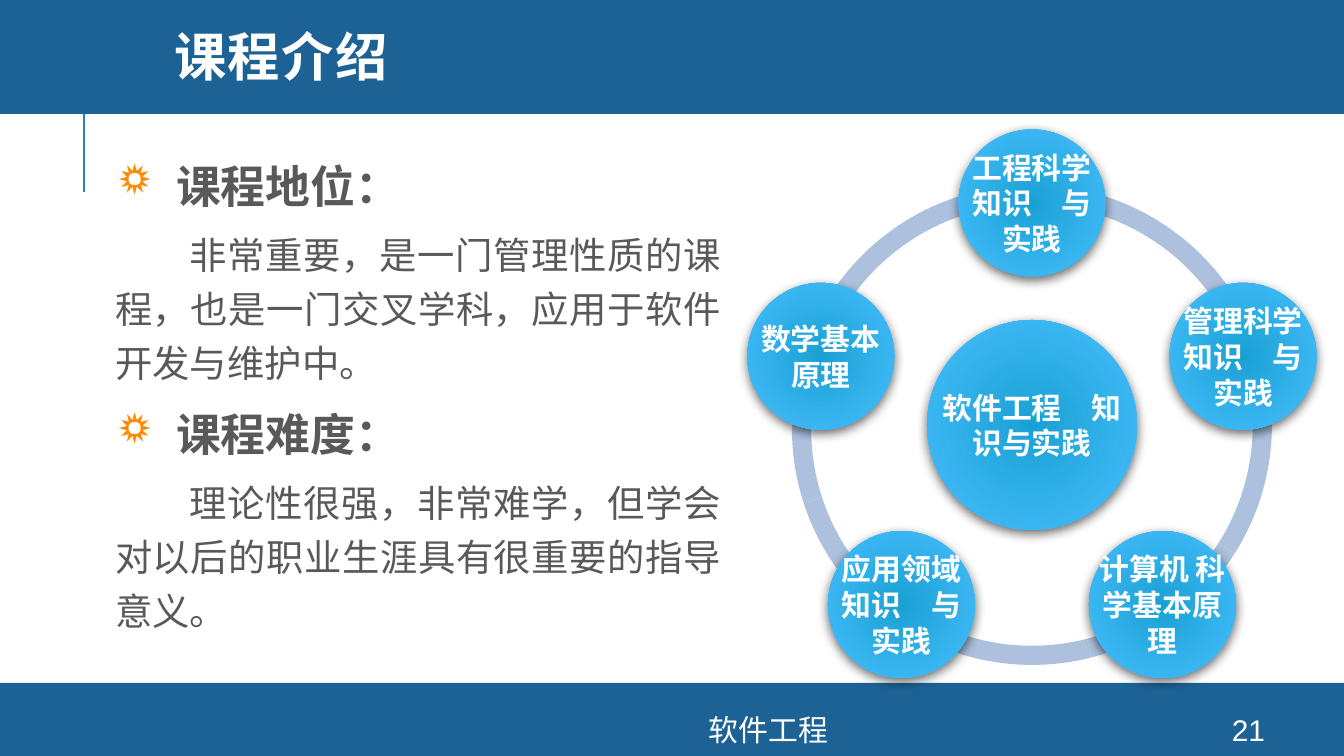
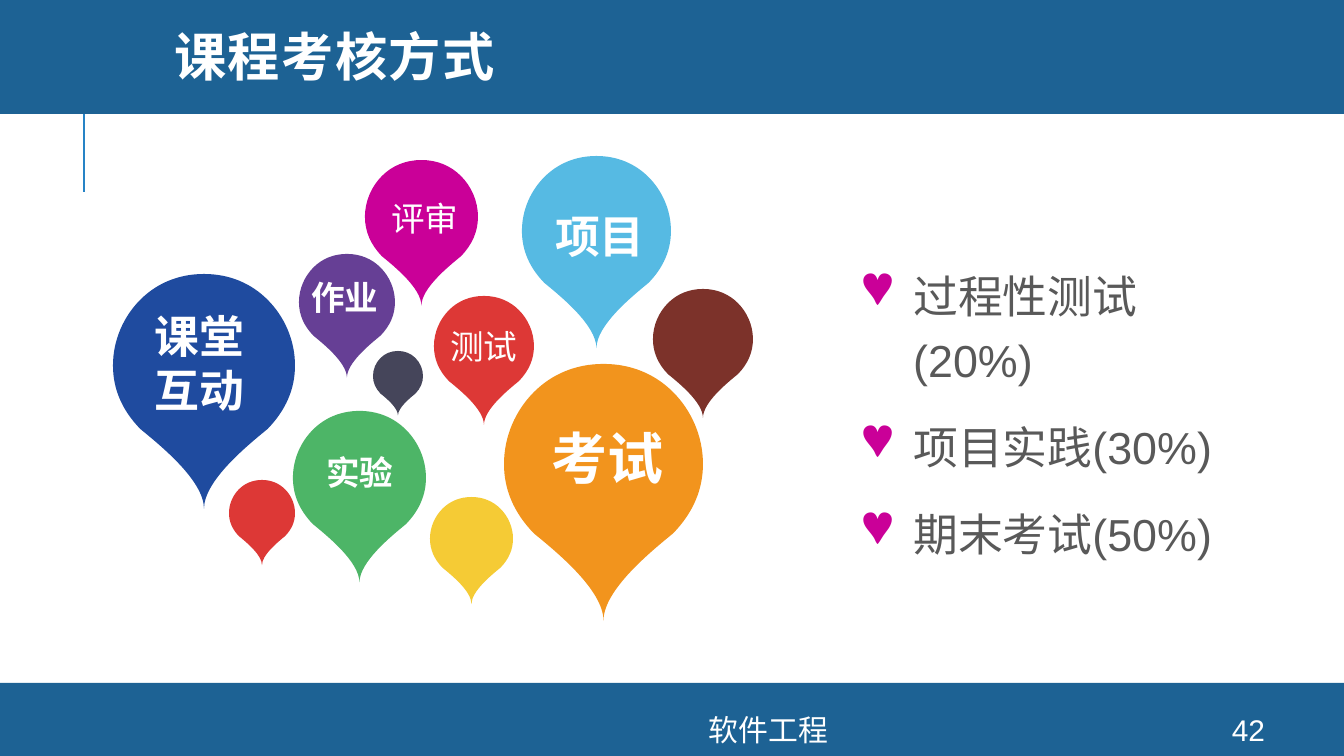
from dataclasses import dataclass
from math import cos, radians, sin

from lxml.etree import SubElement
from pptx import Presentation
from pptx.dml.color import RGBColor
from pptx.enum.shapes import MSO_CONNECTOR as Connector, MSO_SHAPE as Shape
from pptx.enum.text import MSO_ANCHOR as Anchor, MSO_AUTO_SIZE as AutoSize, PP_ALIGN as Align
from pptx.oxml.ns import qn
from pptx.util import Pt

PX = 914400 / 134.4
WIDTH, HEIGHT = 1344, 756


@dataclass(frozen=True)
class Theme:
    band: str = "1D6294"
    rule: str = "2683C6"
    white: str = "FFFFFF"
    text: str = "595959"
    sun: str = "FF8900"
    heart: str = "CA0098"
    ring: str = "ADC1DF"
    node_inner: str = "1AA1D4"
    node_outer: str = "48BFFF"
    red: str = "DD3836"
    font: str = "Arial"
    title_font: str = "Montserrat"
    title: int = 28
    heading: int = 24
    body: int = 20
    small: int = 16


THEME = Theme()

DROP_SIDE = [
    (0, 0),
    (0.14, 0), (0.26, 0.04), (0.35, 0.11),
    (0.44, 0.18), (0.5, 0.28), (0.5, 0.39),
    (0.5, 0.49), (0.45, 0.58), (0.35, 0.66),
    (0.24, 0.73), (0, 0.88), (0, 1),
]
DROP_OUTLINE = [(-x, y) for x, y in DROP_SIDE] + DROP_SIDE[-2::-1]
DROP_RATIO = 1.29

DROPS = [
    (299, 254, 96, "663F95"),
    (113, 274, 182, "1F4B9F"),
    (504, 364, 199, "F2941D"),
    (653, 289, 100, "7C322A"),
    (434, 296, 100, THEME.red),
    (430, 497, 83, "F5CB35"),
    (365, 160, 113, THEME.heart),
    (373, 351, 50, "45455A"),
    (229, 480, 66, THEME.red),
    (293, 411, 133, "4DB567"),
    (522, 156, 149, "56BAE3"),
]
DROP_LABELS = [
    (538, 417, 141, 82, ["考试"], 30, True),
    (298, 270, 95, 54, ["作业"], 18, True),
    (141, 302, 117, 122, ["课堂", "互动"], 24, True),
    (542, 202, 118, 67, ["项目"], 24, True),
    (437, 319, 95, 54, ["测试"], 18, False),
    (378, 191, 95, 54, ["评审"], 18, False),
    (313, 445, 94, 54, ["实验"], 18, True),
]
GRADING = ["过程性测试(20%)", "项目实践(30%)", "期末考试(50%)"]
TOPICS = [
    ("课程地位：", "非常重要，是一门管理性质的课程，也是一门交叉学科，应用于软件开发与维护中。"),
    ("课程难度：", "理论性很强，非常难学，但学会对以后的职业生涯具有很重要的指导意义。"),
]
FIELDS = [
    "工程科学知识　与实践",
    "管理科学知识　与实践",
    "计算机 科学基本原理",
    "应用领域知识　与实践",
    "数学基本原理",
]


def px(*lengths):
    return [round(length * PX) for length in lengths]


def rgb(color):
    return RGBColor.from_string(color)


def set_font(paragraph, size, color=THEME.white, bold=False, name=THEME.font):
    font = paragraph.font
    font.size, font.bold, font.name = Pt(size), bold, name
    font.color.rgb = rgb(color)


def set_indent(paragraph, margin, indent):
    props = paragraph._p.get_or_add_pPr()
    for key, length in zip(("marL", "indent"), px(margin, indent)):
        props.set(key, str(length))
    return props


def add_bullet(paragraph, char, color, hang):
    props = set_indent(paragraph, hang, -hang)
    SubElement(SubElement(props, qn("a:buClr")), qn("a:srgbClr"), val=color)
    SubElement(props, qn("a:buChar"), char=char)


def add_text(page, bounds, lines, anchor=Anchor.TOP, wrap=True, inset=None):
    box = page.shapes.add_textbox(*px(*bounds))
    frame = box.text_frame
    frame.word_wrap = wrap
    frame.vertical_anchor = anchor
    if not wrap:
        frame.auto_size = AutoSize.SHAPE_TO_FIT_TEXT
    if inset is not None:
        frame.margin_left = frame.margin_right = px(inset)[0]
        frame.margin_top = frame.margin_bottom = px(inset)[0]
    frame.text = "\n".join(lines)
    return frame.paragraphs


def add_centered(page, bounds, text, bold=False, inset=None):
    para = add_text(page, bounds, [text], Anchor.MIDDLE, inset=inset)[0]
    para.alignment = Align.CENTER
    set_font(para, THEME.small, bold=bold)


def paint(shape, color):
    shape.shadow.inherit = False
    shape.fill.solid()
    shape.fill.fore_color.rgb = rgb(color)
    shape.line.fill.background()


def add_solid(page, kind, bounds, color):
    shape = page.shapes.add_shape(kind, *px(*bounds))
    paint(shape, color)
    return shape


def add_page(deck, title, number, title_font):
    page = deck.slides.add_slide(deck.slide_layouts[6])
    rule = page.shapes.add_connector(Connector.STRAIGHT, *px(84, 192, 84, 91))
    rule.line.color.rgb = rgb(THEME.rule)
    rule.line.width = Pt(1.5)
    SubElement(rule.element.spPr, qn("a:effectLst"))
    for bounds in ((0, 683, WIDTH, 73), (0, -4, WIDTH, 118)):
        add_solid(page, Shape.RECTANGLE, bounds, THEME.band)
    para = add_text(page, (161, 0, 1141, 122), [title], Anchor.MIDDLE)[0]
    para.line_spacing = 0.8
    set_font(para, THEME.title, bold=True, name=title_font)
    para.font._element.set("spc", "80")
    add_centered(page, (351, 714, 835, 31), "软件工程")
    add_centered(page, (1195, 714, 107, 31), number)
    return page


def add_topics(page):
    lines = [line for topic in TOPICS for line in topic]
    for i, para in enumerate(add_text(page, (102, 141, 632, 525), lines)):
        is_heading = i % 2 == 0
        if is_heading:
            add_bullet(para, "☼", THEME.sun, 61)
        else:
            set_indent(para, 0, 74)
        para.alignment = Align.JUSTIFY
        para.line_spacing = 1.2
        para.space_after = Pt(6)
        set_font(para, THEME.heading if is_heading else THEME.body, THEME.text, is_heading)


def add_node(page, center_x, center_y, size, text):
    bounds = (center_x - size / 2, center_y - size / 2, size, size)
    node = page.shapes.add_shape(Shape.OVAL, *px(*bounds))
    node.shadow.inherit = False
    node.line.fill.background()
    node.fill.gradient()
    for stop, color in zip(node.fill.gradient_stops, (THEME.node_inner, THEME.node_outer)):
        stop.color.rgb = rgb(color)
    props = node.element.spPr
    gradient = props.find(qn("a:gradFill"))
    gradient.remove(gradient.find(qn("a:lin")))
    circle = SubElement(gradient, qn("a:path"), path="circle")
    SubElement(circle, qn("a:fillToRect"), **dict.fromkeys("ltrb", "100000"))
    shadow = SubElement(props.find(qn("a:effectLst")), qn("a:outerShdw"),
                        blurRad=str(Pt(6)), dist=str(Pt(2)), dir="5400000")
    shade = SubElement(shadow, qn("a:srgbClr"), val="000000")
    SubElement(shade, qn("a:alpha"), val="60000")
    add_centered(page, bounds, text, bold=True, inset=3)


def add_knowledge_wheel(page):
    starts = [32.4 + 43.2 * i for i in range(5)]
    tops = [185, 185, 189, 189, 185]
    for start, end, top in zip(starts, starts[1:] + starts[:1], tops):
        arc = add_solid(page, Shape.BLOCK_ARC, (792, top, 480, 480), THEME.ring)
        arc.adjustments[0] = start * 0.6
        arc.adjustments[1] = end * 0.6
        arc.adjustments[2] = 0.04
    center_x, center_y, radius = 1032, 425, 222
    add_node(page, center_x, center_y, 210, "软件工程　知识与实践")
    for i, field in enumerate(FIELDS):
        angle = radians(360 / len(FIELDS) * i - 90)
        add_node(page, center_x + radius * cos(angle), center_y + radius * sin(angle), 147, field)


def add_drop(page, left, top, width, color):
    points = [px(left + width * (0.5 + x), top + width * DROP_RATIO * y) for x, y in DROP_OUTLINE]
    builder = page.shapes.build_freeform(*points[0])
    builder.add_line_segments(points[3::3], close=True)
    drop = builder.convert_to_shape()
    paint(drop, color)
    for i, curve in enumerate(list(drop.element.iter(qn("a:lnTo")))):
        curve.tag = qn("a:cubicBezTo")
        curve.remove(curve[0])
        for x, y in points[3 * i + 1:3 * i + 4]:
            SubElement(curve, qn("a:pt"), x=str(x - drop.left), y=str(y - drop.top))


def add_drop_label(page, left, top, width, height, lines, size, bold):
    for para in add_text(page, (left, top, width, height), lines, wrap=False):
        set_font(para, size, bold=bold)


def add_grading(page):
    for i, para in enumerate(add_text(page, (849, 251, 415, 254), GRADING)):
        add_bullet(para, "♥", THEME.heart, 51)
        para.line_spacing = 1.2
        if i:
            para.space_before = Pt(12)
        set_font(para, THEME.heading, THEME.text)


def main():
    deck = Presentation()
    deck.slide_width, deck.slide_height = px(WIDTH, HEIGHT)

    intro = add_page(deck, "课程介绍", "21", THEME.title_font)
    add_topics(intro)
    add_knowledge_wheel(intro)

    assessment = add_page(deck, "课程考核方式", "42", THEME.font)
    for drop in DROPS:
        add_drop(assessment, *drop)
    for label in DROP_LABELS:
        add_drop_label(assessment, *label)
    add_grading(assessment)

    deck.save("out.pptx")


if __name__ == "__main__":
    main()
